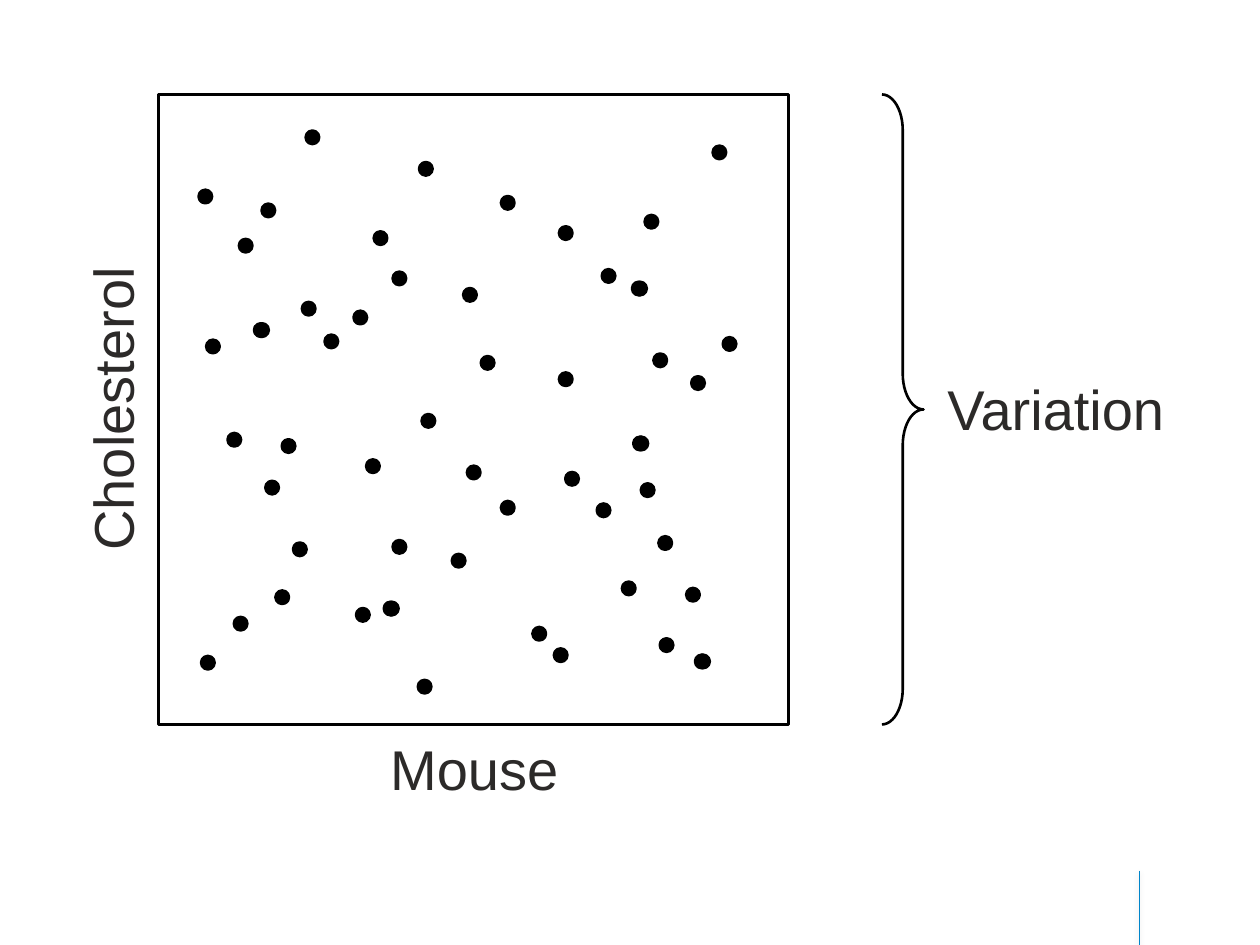
from dataclasses import dataclass

from lxml import etree
from pptx import Presentation
from pptx import util as u
from pptx.dml.color import RGBColor
from pptx.enum import shapes, text
from pptx.oxml import ns


@dataclass(frozen=True)
class Theme:
    ink: RGBColor = RGBColor(0x00, 0x00, 0x00)
    label: RGBColor = RGBColor(0x2C, 0x2A, 0x29)
    rule: RGBColor = RGBColor(0x00, 0x85, 0xCA)
    font: str = "Arial"
    size: float = 32
    thick: float = 2
    brace: float = 1.5
    hair: float = 0.25


@dataclass(frozen=True)
class Box:
    x: float
    y: float
    w: float
    h: float

    def emu(self) -> list[int]:
        return [u.Inches(n) for n in (self.x, self.y, self.w, self.h)]


@dataclass(frozen=True)
class Label:
    words: str
    box: Box
    align: text.PP_ALIGN = text.PP_ALIGN.CENTER
    turn: float = 0


THEME = Theme()
KIND = shapes.MSO_SHAPE
PLOT = Box(1.26, 0.75, 5, 5)
BRACE = Box(7, PLOT.y, 0.33, PLOT.h)
DOT = 0.1

LABELS = [
    Label("Cholesterol", Box(-1.6, 2.93, 4.97, 0.63), turn=270),
    Label("Mouse", Box(1.28, 5.78, 4.97, 0.63)),
    Label("Variation", Box(7.42, 2.92, 2.33, 0.63), text.PP_ALIGN.LEFT),
]

# Left and top of each mouse's dot, in inches
MICE = [
    (2.02, 2.57), (5.02, 2.24), (5.52, 5.2), (5.03, 3.47), (3.05, 4.78),
    (2.43, 1.04), (1.9, 1.9), (1.86, 4.9), (2.24, 3.49), (2.19, 4.69),
    (2.03, 2.57), (1.81, 3.44), (2.33, 4.31), (1.6, 5.21), (3.35, 3.29),
    (3.59, 4.4), (2.83, 4.83), (5.03, 2.24), (3.12, 4.29), (5.49, 2.99),
    (4.44, 1.8), (5.74, 2.68), (5.24, 5.07), (5.53, 5.2), (2.08, 1.62),
    (3.33, 1.29), (2.91, 3.65), (2.81, 2.47), (2.11, 3.82), (3.68, 2.29),
    (5.12, 1.71), (3.82, 2.83), (3.98, 3.98), (3.71, 3.7), (4.44, 2.96),
    (5.19, 2.81), (4.49, 3.75), (5.04, 3.47), (5.09, 3.84), (4.94, 4.62),
    (5.23, 4.26), (5.45, 4.67), (5.66, 1.16), (2.58, 2.66), (2.97, 1.84),
    (3.12, 2.16), (3.98, 1.56), (4.78, 2.14), (4.74, 4), (1.64, 2.7),
    (1.58, 1.51), (2.4, 2.4), (3.06, 4.78), (3.32, 5.4), (4.23, 4.98),
    (4.4, 5.15),
]


def add_form(slide, kind: KIND, box: Box, width: float, solid: bool = False):
    form = slide.shapes.add_shape(kind, *box.emu())
    form.shadow.inherit = False
    if solid:
        form.fill.solid()
        form.fill.fore_color.rgb = THEME.ink
    else:
        form.fill.background()
    form.line.color.rgb = THEME.ink
    form.line.width = u.Pt(width)
    return form


def add_label(slide, label: Label) -> None:
    box = slide.shapes.add_textbox(*label.box.emu())
    box.rotation = label.turn
    frame = box.text_frame
    frame.word_wrap = True
    para = frame.paragraphs[0]
    para.alignment = label.align
    run = para.add_run()
    run.text = label.words
    run.font.name = THEME.font
    run.font.size = u.Pt(THEME.size)
    run.font.color.rgb = THEME.label


def add_rule(slide, x: float, top: float, end: float) -> None:
    rule = slide.shapes.add_connector(
        shapes.MSO_CONNECTOR.STRAIGHT,
        u.Inches(x), u.Inches(top), u.Inches(x), u.Inches(end))
    rule.line.color.rgb = THEME.rule
    rule.line.width = u.Pt(THEME.hair)
    # Soft shadow straight below the line
    props = rule._element.spPr
    list_ = etree.SubElement(props, ns.qn("a:effectLst"))
    shade = etree.SubElement(
        list_, ns.qn("a:outerShdw"), blurRad=str(u.Pt(3.1)),
        dist=str(u.Pt(1.6)), dir=str(90 * 60000), rotWithShape="0")
    tint = etree.SubElement(shade, ns.qn("a:srgbClr"), val=str(THEME.ink))
    etree.SubElement(tint, ns.qn("a:alpha"), val="38000")


def main() -> None:
    deck = Presentation()
    deck.slide_width, deck.slide_height = u.Inches(10), u.Inches(7.5)
    slide = deck.slides.add_slide(deck.slide_layouts[6])

    # Footer rule
    add_rule(slide, 9.04, 6.91, 7.5)

    # Scatter of mice
    add_form(slide, KIND.RECTANGLE, PLOT, THEME.thick)
    for x, y in MICE:
        add_form(slide, KIND.OVAL, Box(x, y, DOT, DOT), THEME.thick, True)

    # Brace over the whole range
    brace = add_form(slide, KIND.RIGHT_BRACE, BRACE, THEME.brace)
    brace.adjustments[0] = 0.86
    brace.adjustments[1] = 0.5

    # Axis and brace labels
    for label in LABELS:
        add_label(slide, label)

    deck.save("out.pptx")


if __name__ == "__main__":
    main()
